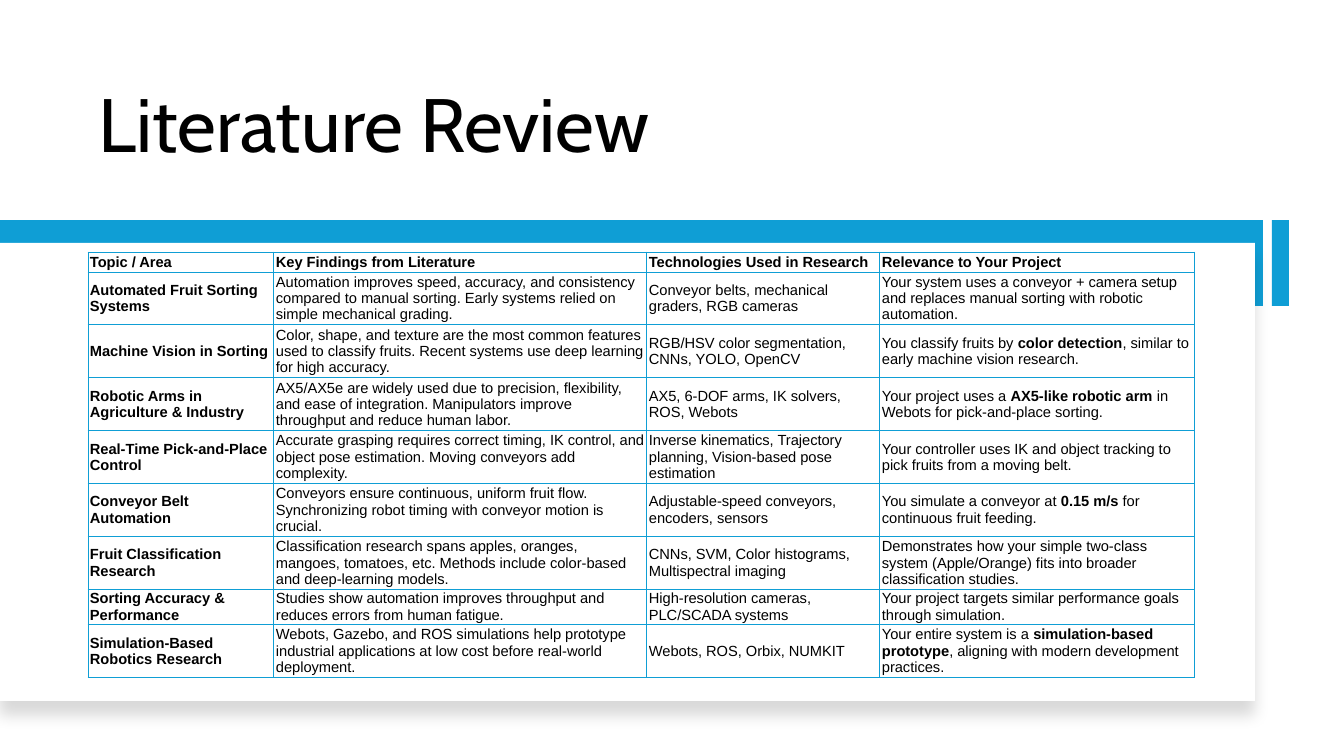
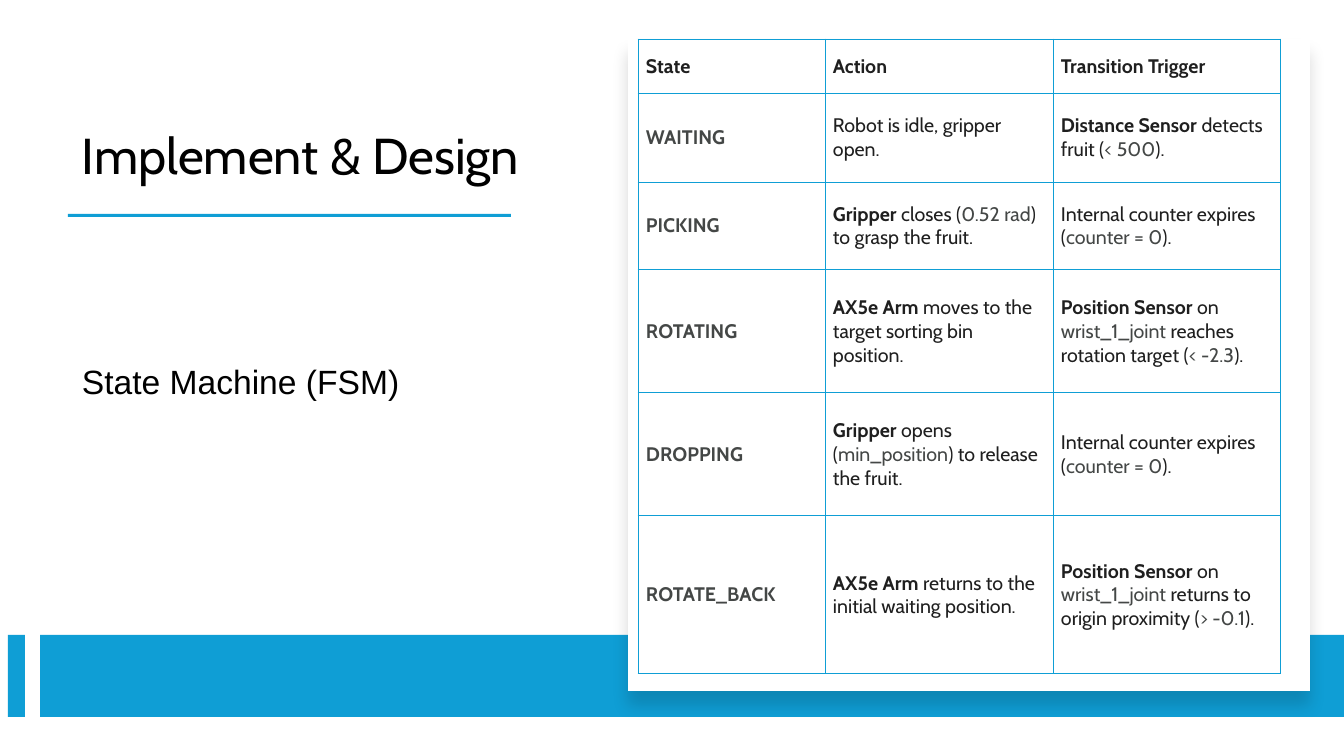
"""Build two slides: a literature review table and a state machine table."""
from lxml import etree
from pptx import Presentation
from pptx.dml.color import RGBColor
from pptx.enum.shapes import MSO_SHAPE
from pptx.enum.text import MSO_ANCHOR
from pptx.oxml import parse_xml
from pptx.oxml.ns import nsdecls, qn
from pptx.util import Pt

PX = 12192000 / 1344
RECT = MSO_SHAPE.RECTANGLE
MIDDLE, BOTTOM = MSO_ANCHOR.MIDDLE, MSO_ANCHOR.BOTTOM
BLUE, WHITE, BLACK, INK, GRAY = "0F9ED5", "FFFFFF", "000000", "1F1F1F", "444746"
HEAD, BODY = "Cabin", "Arial"

SHADOW = (
    f'<a:outerShdw {nsdecls("a")} blurRad="139700" dist="127000" dir="5400000" '
    f'algn="t" rotWithShape="0"><a:srgbClr val="{BLACK}"><a:alpha val="15000"/>'
    "</a:srgbClr></a:outerShdw>"
)

REVIEW = [
    ["Topic / Area", "Key Findings from Literature",
     "Technologies Used in Research", "Relevance to Your Project"],
    ["Automated Fruit Sorting Systems",
     "Automation improves speed, accuracy, and consistency compared to manual sorting. "
     "Early systems relied on simple mechanical grading.",
     "Conveyor belts, mechanical graders, RGB cameras",
     "Your system uses a conveyor + camera setup and replaces manual sorting with "
     "robotic automation."],
    ["Machine Vision in Sorting",
     "Color, shape, and texture are the most common features used to classify fruits. "
     "Recent systems use deep learning for high accuracy.",
     "RGB/HSV color segmentation, CNNs, YOLO, OpenCV",
     "You classify fruits by *color detection*, similar to early machine vision research."],
    ["Robotic Arms in Agriculture & Industry",
     "AX5/AX5e are widely used due to precision, flexibility, and ease of integration. "
     "Manipulators improve throughput and reduce human labor.",
     "AX5, 6-DOF arms, IK solvers, ROS, Webots",
     "Your project uses a *AX5-like robotic arm* in Webots for pick-and-place sorting."],
    ["Real-Time Pick-and-Place Control",
     "Accurate grasping requires correct timing, IK control, and object pose estimation. "
     "Moving conveyors add complexity.",
     "Inverse kinematics, Trajectory planning, Vision-based pose estimation",
     "Your controller uses IK and object tracking to pick fruits from a moving belt."],
    ["Conveyor Belt Automation",
     "Conveyors ensure continuous, uniform fruit flow. Synchronizing robot timing with "
     "conveyor motion is crucial.",
     "Adjustable-speed conveyors, encoders, sensors",
     "You simulate a conveyor at *0.15 m/s* for continuous fruit feeding."],
    ["Fruit Classification Research",
     "Classification research spans apples, oranges, mangoes, tomatoes, etc. Methods "
     "include color-based and deep-learning models.",
     "CNNs, SVM, Color histograms, Multispectral imaging",
     "Demonstrates how your simple two-class system (Apple/Orange) fits into broader "
     "classification studies."],
    ["Sorting Accuracy & Performance",
     "Studies show automation improves throughput and reduces errors from human fatigue.",
     "High-resolution cameras, PLC/SCADA systems",
     "Your project targets similar performance goals through simulation."],
    ["Simulation-Based Robotics Research",
     "Webots, Gazebo, and ROS simulations help prototype industrial applications at low "
     "cost before real-world deployment.",
     "Webots, ROS, Orbix, NUMKIT",
     "Your entire system is a *simulation-based prototype*, aligning with modern "
     "development practices."],
]

STATES = [
    ["State", "Action", "Transition Trigger"],
    ["`WAITING`", "Robot is idle, gripper open.",
     "*Distance Sensor* detects fruit (`< 500`)."],
    ["`PICKING`", "*Gripper* closes (`0.52 rad`) to grasp the fruit.",
     "Internal counter expires (`counter = 0`)."],
    ["`ROTATING`", "*AX5e Arm* moves to the target sorting bin position.",
     "*Position Sensor* on `wrist_1_joint` reaches rotation target (`< -2.3`)."],
    ["`DROPPING`", "*Gripper* opens (`min_position`) to release the fruit.",
     "Internal counter expires (`counter = 0`)."],
    ["`ROTATE_BACK`", "*AX5e Arm* returns to the initial waiting position.",
     "*Position Sensor* on `wrist_1_joint` returns to origin proximity (`> -0.1`)."],
]

SLIDES = [
    {
        "bars": [(1272, 220, 17, 86), (0, 220, 1263, 86)],
        "card": (0, 243, 1255, 458),
        "texts": [("Literature Review", (89, 43, 1018, 131), 54, HEAD, BOTTOM)],
        "table": (88, 252), "rows": REVIEW,
        "widths": [186, 373, 233, 315], "heights": [20] + [50] * 6 + [35, 51],
        "margins": (2, 0), "font": (BODY, 10.5, BLACK),
    },
    {
        "bars": [(68, 214, 443, 3), (8, 635, 17, 82), (40, 635, 1304, 82)],
        "card": (628, 39, 682, 652),
        "texts": [("Implement & Design", (72, 58, 472, 132), 36, HEAD, BOTTOM),
                  ("State Machine (FSM)", (72, 331, 472, 106), 24, BODY, MIDDLE)],
        "table": (638, 39), "rows": STATES,
        "widths": [187, 228, 227], "heights": [54, 89, 88, 123, 123, 158],
        "margins": (8, 5), "font": (HEAD, 14, INK),
    },
]


def px(*lengths):
    return [round(n * PX) for n in lengths]


def color(value):
    return RGBColor.from_string(value)


prs = Presentation()
prs.slide_width, prs.slide_height = px(1344, 756)

for page in SLIDES:
    s = prs.slides.add_slide(prs.slide_layouts[6])

    for box in page["bars"] + [page["card"]]:
        sp = s.shapes.add_shape(RECT, *px(*box))
        sp.shadow.inherit = False
        sp.line.fill.background()
        sp.fill.solid()
        sp.fill.fore_color.rgb = color(WHITE if box == page["card"] else BLUE)
    sp._element.spPr.find(qn("a:effectLst")).append(parse_xml(SHADOW))

    for text, box, size, face, anchor in page["texts"]:
        tf = s.shapes.add_textbox(*px(*box)).text_frame
        tf.word_wrap = True
        tf.vertical_anchor = anchor
        p = tf.paragraphs[0]
        p.text = text
        p.line_spacing = 0.9
        p.font.name, p.font.size = face, Pt(size)
        p.font.color.rgb = color(BLACK)

    rows, widths, heights = page["rows"], page["widths"], page["heights"]
    box = (*page["table"], sum(widths), sum(heights))
    table = s.shapes.add_table(len(rows), len(widths), *px(*box)).table
    table.first_row = table.horz_banding = False
    for column, width in zip(table.columns, px(*widths)):
        column.width = width
    for row, height in zip(table.rows, px(*heights)):
        row.height = height

    face, size, ink = page["font"]
    side, top = px(*page["margins"])
    for i, row in enumerate(rows):
        for j, text in enumerate(row):
            cell = table.cell(i, j)
            cell.vertical_anchor = MIDDLE
            cell.margin_left = cell.margin_right = side
            cell.margin_top = cell.margin_bottom = top
            tcPr = cell._tc.get_or_add_tcPr()
            for edge in ("lnL", "lnR", "lnT", "lnB"):
                ln = etree.SubElement(tcPr, qn(f"a:{edge}"), w="9525")
                fill = etree.SubElement(ln, qn("a:solidFill"))
                etree.SubElement(fill, qn("a:srgbClr"), val=BLUE)
            cell.fill.background()
            p = cell.text_frame.paragraphs[0]
            for k, part in enumerate(text.split("*")):
                for m, piece in enumerate(part.split("`")):
                    if piece:
                        r = p.add_run()
                        r.text = piece
                        r.font.name, r.font.size = face, Pt(size)
                        r.font.bold = i == 0 or j == 0 or k % 2 == 1
                        r.font.color.rgb = color(GRAY if m % 2 else ink)

prs.save("out.pptx")
